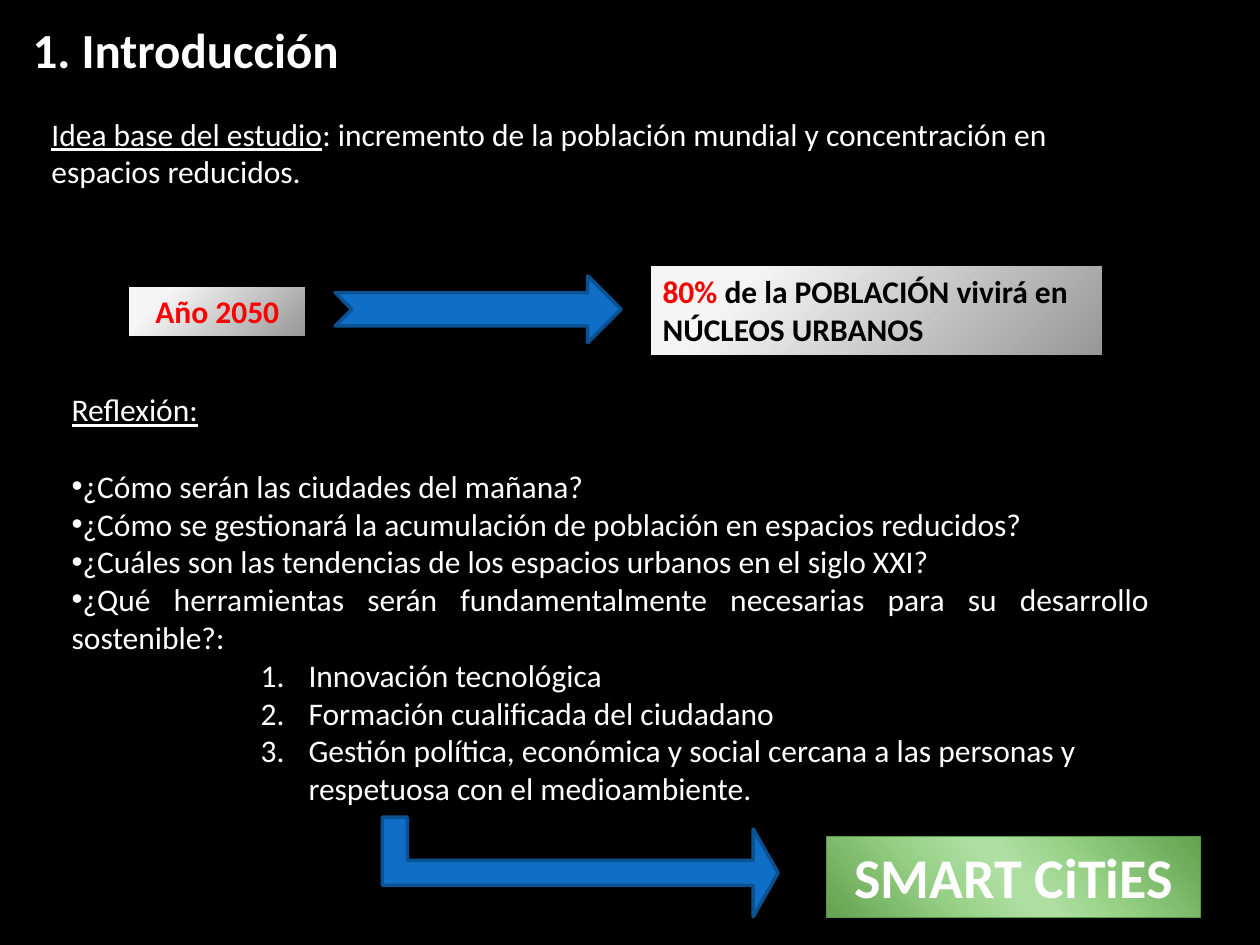
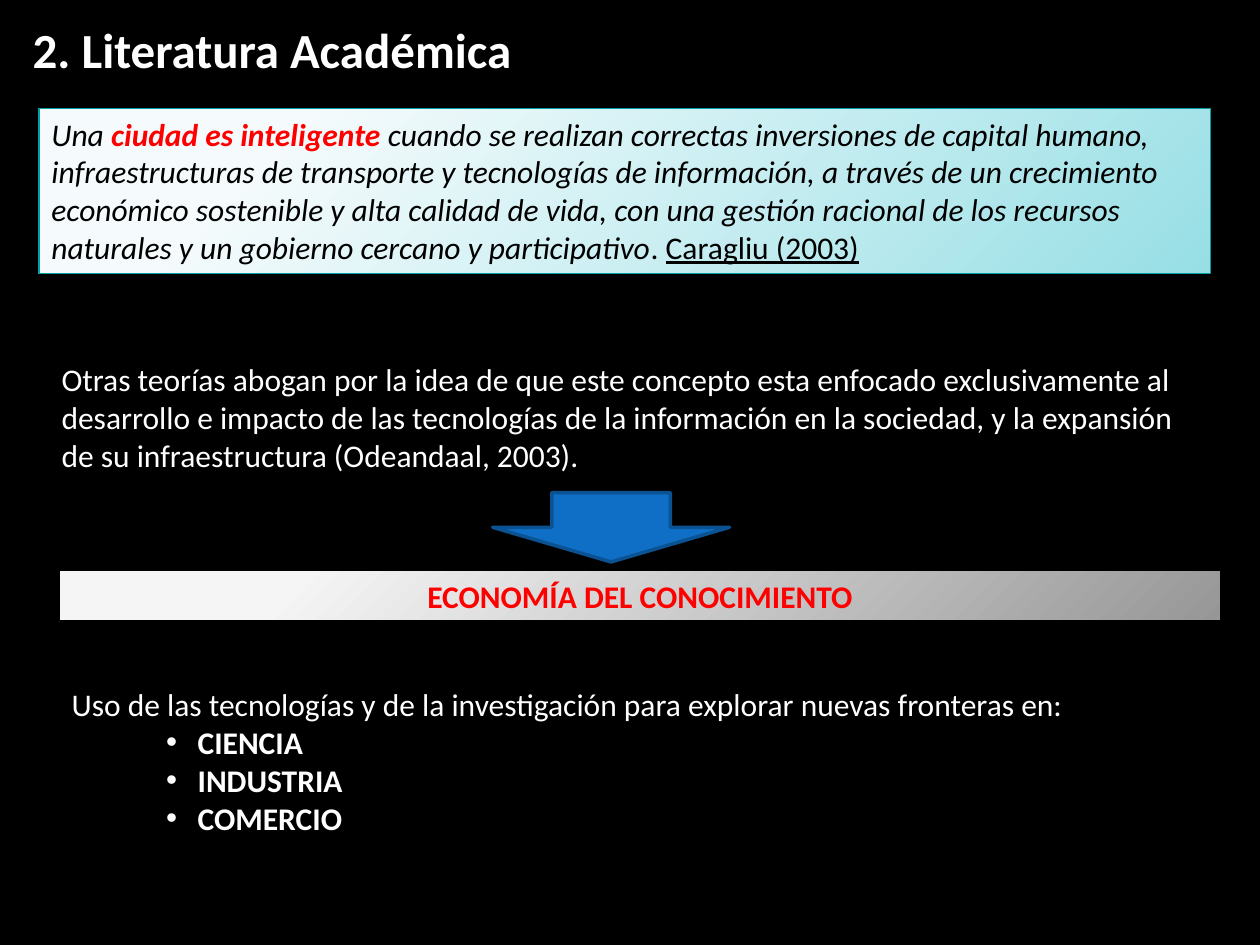
from lxml import etree
from pptx import Presentation
from pptx import util as u
from pptx.dml import color
from pptx.enum import shapes, text
from pptx.oxml import ns

# Shared look
COLORS = {
    "background": "000000", "light": "FFFFFF", "dark": "000000", "accent": "FF0000",
    "arrow": "0F6FC6", "arrow_edge": "0B5292",
    "quote_edge": "019EA5", "goal_edge": "589743",
}
FONT = "Calibri"
BODY, TITLE, GOAL = 18, 28, 32
COLUMNS, ROWS = 10, 7.5      # grid cells are one inch square
CONTENT_TOP = 0.86

# Gradient stops: share of the way, colour
SILVER = [(20, "F5F5F5"), (100, "979797")]
AQUA = [(20, "F5FBFC"), (100, "97DFE5")]
GREEN = [(0, "63A24E"), (33, "97D287"), (47, "AEDEA2"),
         (53, "AEDEA2"), (68, "98D288"), (100, "63A24E")]

KEY = {"bold": True, "color": "accent"}
PLAIN = text.PP_ALIGN.LEFT
CENTER = text.PP_ALIGN.CENTER


def rgb(name):
    return color.RGBColor.from_string(COLORS[name])


def grid(*cells):
    return [u.Inches(cell) for cell in cells]


def sub(parent, tag, **attributes):
    node = etree.SubElement(parent, ns.qn(tag))
    for name, value in attributes.items():
        node.set(name, str(value))
    return node


# Text
def style_run(run, size=BODY, color="light", bold=False, italic=False, underline=False):
    font = run.font
    font.name, font.size = FONT, u.Pt(size)
    font.bold, font.italic, font.underline = bold, italic, underline
    font.color.rgb = rgb(color)


def fill_paragraph(paragraph, runs, align=PLAIN, **shared):
    """Write (words, style) pairs into one paragraph."""
    paragraph.alignment = align
    for words, style in runs:
        run = paragraph.add_run()
        run.text = words
        style_run(run, **{**shared, **style})


def add_item(frame, words, margin=0, hanging=0, numbered=False, align=PLAIN, **style):
    paragraph = frame.add_paragraph()
    properties = paragraph._p.get_or_add_pPr()
    properties.set("marL", str(u.Inches(margin)))
    properties.set("indent", str(-u.Inches(hanging)))
    sub(properties, "a:buFont", typeface="+mj-lt" if numbered else "Arial")
    if numbered:
        sub(properties, "a:buAutoNum", type="arabicPeriod")
    else:
        sub(properties, "a:buChar", char="•")
    fill_paragraph(paragraph, [(words, style)], align)
    return paragraph


def add_text(slide, cells, *runs):
    frame = slide.shapes.add_textbox(*grid(*cells)).text_frame
    frame.word_wrap = True
    fill_paragraph(frame.paragraphs[0], runs)
    return frame


def add_titled_slide(prs, words):
    slide = prs.slides.add_slide(prs.slide_layouts[5])
    title = slide.shapes.title
    title.left, title.top, title.width, title.height = grid(0.16, 0, 9, 0.78)
    frame = title.text_frame
    frame.text = words
    frame.auto_size = text.MSO_AUTO_SIZE.NONE
    frame.vertical_anchor = text.MSO_ANCHOR.MIDDLE
    frame.paragraphs[0].alignment = PLAIN
    style_run(frame.paragraphs[0].runs[0], size=TITLE, bold=True)
    return slide


# Shapes
def add_shape(slide, kind, cells, edge, edge_width):
    shape = slide.shapes.add_shape(kind, *grid(*cells))
    shape.shadow.inherit = False
    shape.line.color.rgb = rgb(edge)
    shape.line.width = u.Pt(edge_width)
    return shape


def fill_gradient(shape, stops, angle=None):
    """Linear at an angle, otherwise circular and wider than the shape."""
    gradient = etree.Element(ns.qn("a:gradFill"), rotWithShape="1")
    stop_list = sub(gradient, "a:gsLst")
    for share, tint in stops:
        stop = sub(stop_list, "a:gs", pos=share * 1000)
        sub(stop, "a:srgbClr", val=tint)
    if angle is None:
        spread = sub(gradient, "a:path", path="circle")
        sub(spread, "a:fillToRect", l=-15000, t=-15000, r=115000, b=115000)
    else:
        sub(gradient, "a:lin", ang=angle * 60000, scaled=0)
    shape._element.spPr.find(ns.qn("a:prstGeom")).addnext(gradient)


def add_panel(slide, cells, runs, stops=SILVER, edge="dark", align=CENTER,
              angle=None, **shared):
    panel = add_shape(slide, shapes.MSO_SHAPE.RECTANGLE, cells, edge, 0.75)
    fill_gradient(panel, stops, angle)
    frame = panel.text_frame
    frame.word_wrap = True
    frame.vertical_anchor = text.MSO_ANCHOR.TOP
    fill_paragraph(frame.paragraphs[0], runs, align, **shared)


def add_arrow(slide, kind, cells, rotation=0, adjustments=()):
    arrow = add_shape(slide, kind, cells, "arrow_edge", 2)
    arrow.fill.solid()
    arrow.fill.fore_color.rgb = rgb("arrow")
    arrow.rotation = rotation
    for index, value in enumerate(adjustments):
        arrow.adjustments[index] = value


# Slides
def build_introduction(prs):
    slide = add_titled_slide(prs, "1. Introducción")
    add_text(slide, (0.31, CONTENT_TOP, 8.75, 0.71),
             ("Idea base del estudio", {"underline": True}),
             (": incremento de la población mundial y concentración en espacios reducidos.", {}))

    # Forecast: year, arrow, share of the population
    add_panel(slide, (5.16, 2.11, 3.59, 0.71),
              [("80% ", KEY),
               ("de la POBLACIÓN vivirá en NÚCLEOS URBANOS", {"bold": True, "color": "dark"})],
              align=PLAIN)
    add_panel(slide, (1.02, 2.27, 1.41, 0.4), [("Año 2050", KEY)])

    # Questions and the tools that answer the last one
    reflection = add_text(slide, (0.47, 3.05, 8.75, 4.04), ("Reflexión:", {"underline": True}))
    questions = [
        "¿Cómo serán las ciudades del mañana?",
        "¿Cómo se gestionará la acumulación de población en espacios reducidos?",
        "¿Cuáles son las tendencias de los espacios urbanos en el siglo XXI?",
    ]
    first, *_ = [add_item(reflection, question) for question in questions]
    first.space_before = u.Pt(22)
    add_item(reflection,
             "¿Qué herramientas serán fundamentalmente necesarias para su desarrollo sostenible?:",
             align=text.PP_ALIGN.JUSTIFY)
    for tool in (
        "Innovación tecnológica",
        "Formación cualificada del ciudadano",
        "Gestión política, económica y social cercana a las personas y respetuosa "
        "con el medioambiente.",
    ):
        add_item(reflection, tool, margin=1.88, hanging=0.38, numbered=True)

    # Conclusion
    add_panel(slide, (6.56, 6.64, 2.97, 0.64), [("SMART CiTiES", {})],
              stops=GREEN, edge="goal_edge", angle=139, size=GOAL, bold=True)
    add_arrow(slide, shapes.MSO_SHAPE.NOTCHED_RIGHT_ARROW, (2.66, 2.19, 2.27, 0.53))
    add_arrow(slide, shapes.MSO_SHAPE.BENT_UP_ARROW, (4.21, 5.31, 0.79, 3.14),
              rotation=90, adjustments=(0.25, 0.44, 0.25))


def build_literature(prs):
    slide = add_titled_slide(prs, "2. Literatura Académica")

    # Definition
    add_panel(slide, (0.31, CONTENT_TOP, 9.3, 1.31), [
        ("Una ", {"italic": True}),
        ("ciudad es inteligente ", {**KEY, "italic": True}),
        ("cuando se realizan correctas inversiones de capital humano, infraestructuras de "
         "transporte y tecnologías de información, a través de un crecimiento económico "
         "sostenible y alta calidad de vida, con una gestión racional de los recursos "
         "naturales y un gobierno cercano y participativo", {"italic": True}),
        (". ", {}),
        ("Caragliu (2003)", {"underline": True}),
    ], stops=AQUA, edge="quote_edge", align=PLAIN, color="dark")

    # Other theories lead to the knowledge economy
    add_text(slide, (0.39, 2.81, 9.22, 1.01),
             ("Otras teorías abogan por la idea de que este concepto esta enfocado "
              "exclusivamente al desarrollo e impacto de las tecnologías de la información en "
              "la sociedad, y la expansión de su infraestructura (Odeandaal, 2003).", {}))
    add_panel(slide, (0.47, 4.53, 9.22, 0.4), [("ECONOMÍA DEL CONOCIMIENTO", KEY)])

    # Fields of use
    uses = add_text(slide, (0.47, 5.39, 9.22, 1.31),
                    ("Uso de las tecnologías y de la investigación para explorar nuevas "
                     "fronteras en:", {}))
    for field in ("CIENCIA", "INDUSTRIA", "COMERCIO"):
        add_item(uses, field, margin=1, hanging=0.25, bold=True)
    add_arrow(slide, shapes.MSO_SHAPE.DOWN_ARROW, (3.91, 3.91, 1.88, 0.55))


def main():
    prs = Presentation()
    prs.slide_width, prs.slide_height = grid(COLUMNS, ROWS)
    backdrop = prs.slide_master.background.fill
    backdrop.solid()
    backdrop.fore_color.rgb = rgb("background")
    build_introduction(prs)
    build_literature(prs)
    prs.save("out.pptx")


if __name__ == "__main__":
    main()
